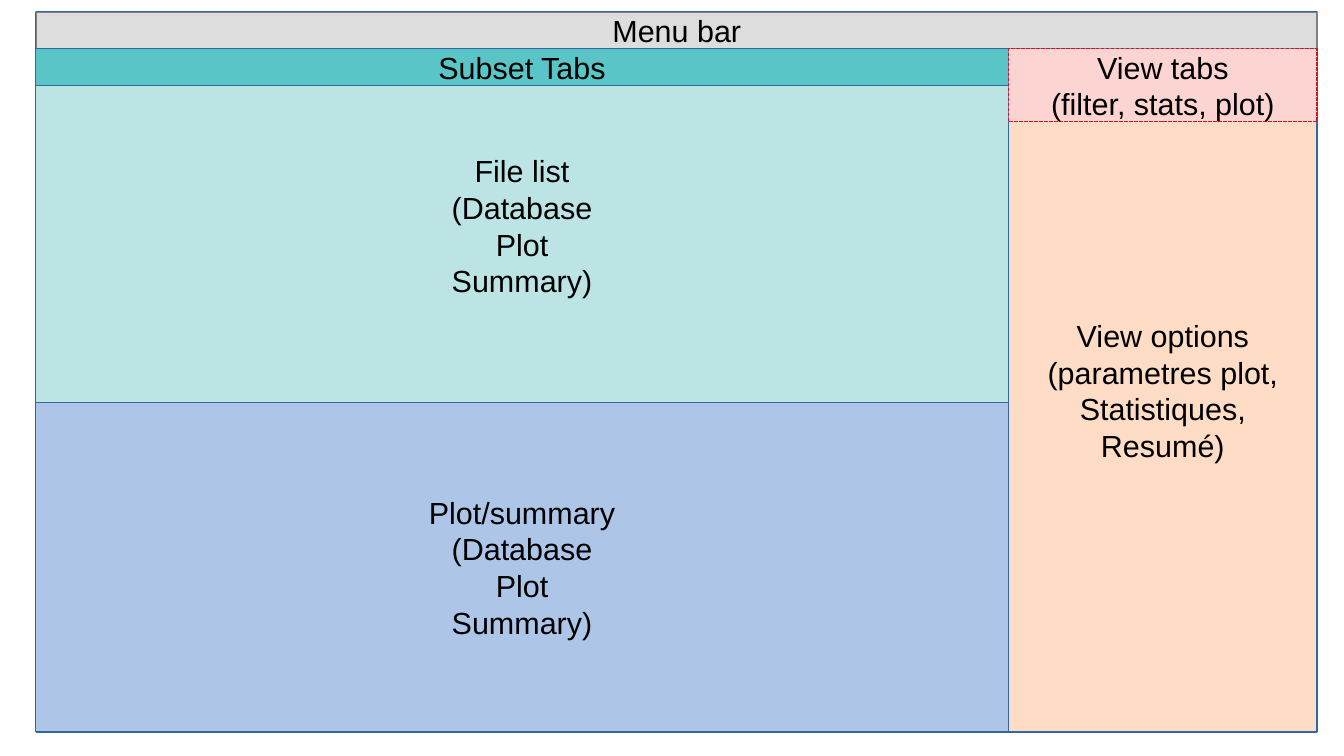
"""Builds a slide showing the panel layout of an application window."""
from dataclasses import dataclass

from pptx import Presentation
from pptx.dml.color import RGBColor
from pptx.enum.dml import MSO_LINE
from pptx.enum.shapes import MSO_SHAPE
from pptx.enum.text import MSO_ANCHOR, PP_ALIGN
from pptx.slide import Slide
from pptx.util import Inches, Pt

RECTANGLE = MSO_SHAPE.RECTANGLE
DASHED = MSO_LINE.SQUARE_DOT
MIDDLE = MSO_ANCHOR.MIDDLE
CENTER = PP_ALIGN.CENTER

SLIDE_WIDTH, SLIDE_HEIGHT = 11.02, 6.2
COLUMN_EDGES = {"panel": 0.29, "window": 0.3, "sidebar": 8.27, "end": 10.8}
TOP_MARGIN = 0.1
ROW_HEIGHT = 0.1
BLUE = "3465A4"
BLACK = "000000"
FRAME_FORMAT = {"word_wrap": False, "vertical_anchor": MIDDLE}
FONT_FORMAT = {"name": "Arial", "size": Pt(18)}


@dataclass(frozen=True)
class Panel:
    """A rectangle between two column edges and two grid rows."""

    first_column: str
    last_column: str
    first_row: int
    last_row: int
    fill: str
    lines: tuple[str, ...] = ()
    outline: str = BLUE
    outline_width: float = 0
    dashed: bool = False


DATA_VIEWS = ("(Database", "Plot", "Summary)")
PANELS = (
    Panel("window", "end", 0, 59, "FFFFFF", outline_width=1.5),
    Panel("window", "end", 0, 3, "DDDDDD", ("Menu bar",), outline="808080"),
    Panel("panel", "sidebar", 3, 32, "BCE4E5", ("File list", *DATA_VIEWS)),
    Panel("panel", "sidebar", 3, 6, "59C5C7", ("Subset Tabs",)),
    Panel("sidebar", "end", 3, 59, "FEDCC6",
          ("View options", "(parametres plot,", "Statistiques,", "Resumé)")),
    Panel("panel", "sidebar", 32, 59, "ADC5E7", ("Plot/summary", *DATA_VIEWS)),
    Panel("sidebar", "end", 3, 9, "FCD4D1", ("View tabs", "(filter, stats, plot)"),
          outline="CE181E", dashed=True),
)


def color(value: str) -> RGBColor:
    """Return the colour for a hex string."""
    return RGBColor.from_string(value)


def apply_format(target: object, values: dict[str, object]) -> None:
    """Set each named attribute on the target."""
    for name, value in values.items():
        setattr(target, name, value)


def draw_panel(slide: Slide, panel: Panel) -> None:
    """Draw a panel and its centred lines of text."""
    left = COLUMN_EDGES[panel.first_column]
    width = COLUMN_EDGES[panel.last_column] - left
    top = TOP_MARGIN + panel.first_row * ROW_HEIGHT
    height = (panel.last_row - panel.first_row) * ROW_HEIGHT
    shape = slide.shapes.add_shape(
        RECTANGLE, Inches(left), Inches(top), Inches(width), Inches(height))
    shape.shadow.inherit = False
    shape.fill.solid()
    shape.fill.fore_color.rgb = color(panel.fill)
    shape.line.color.rgb = color(panel.outline)
    shape.line.width = Pt(panel.outline_width)
    if panel.dashed:
        shape.line.dash_style = DASHED
    if panel.lines:
        write_lines(shape.text_frame, panel.lines)


def write_lines(text_frame: object, lines: tuple[str, ...]) -> None:
    """Write each line as a centred paragraph."""
    apply_format(text_frame, FRAME_FORMAT)
    text_frame.text = "\n".join(lines)
    for paragraph in text_frame.paragraphs:
        paragraph.alignment = CENTER
        apply_format(paragraph.font, FONT_FORMAT)
        paragraph.font.color.rgb = color(BLACK)


def main() -> None:
    """Build and save the presentation."""
    presentation = Presentation()
    presentation.slide_width = Inches(SLIDE_WIDTH)
    presentation.slide_height = Inches(SLIDE_HEIGHT)
    slide = presentation.slides.add_slide(presentation.slide_layouts[6])
    for panel in PANELS:
        draw_panel(slide, panel)
    presentation.save("out.pptx")


if __name__ == "__main__":
    main()
